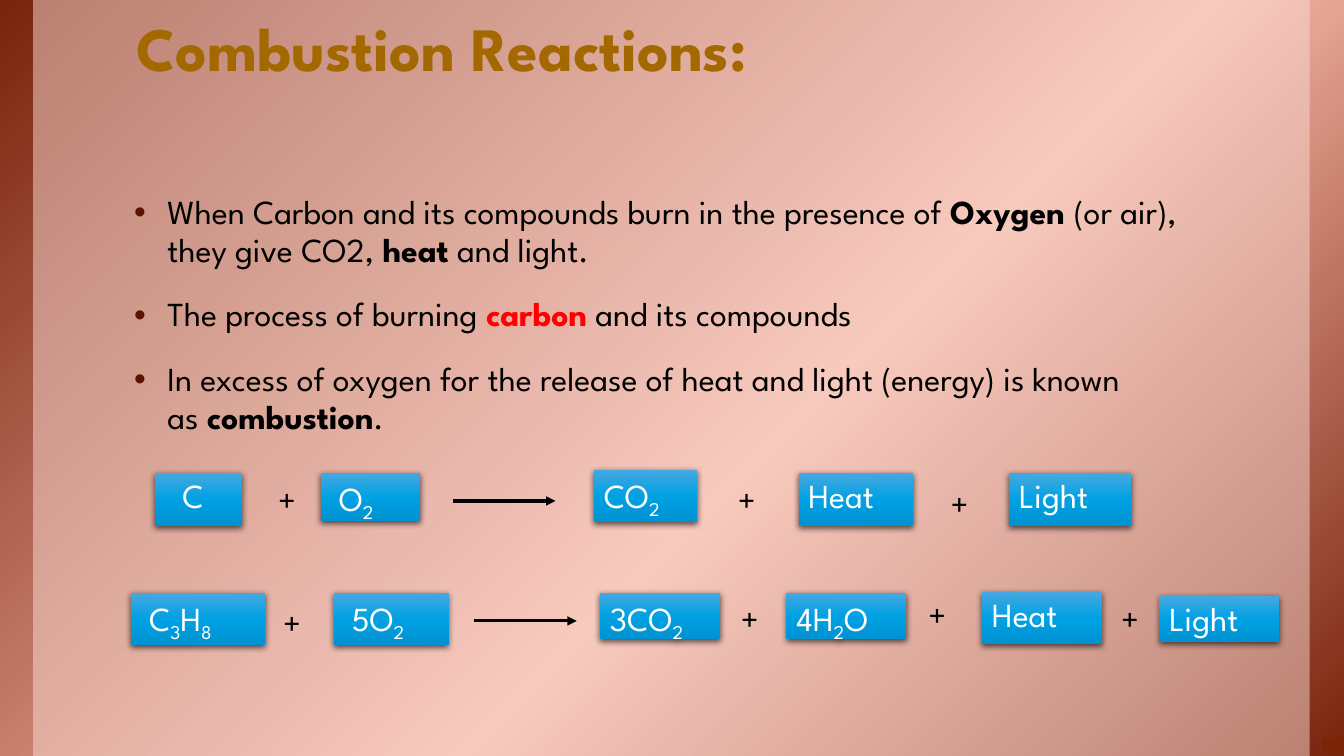
"""Build a slide on combustion reactions with two word equations."""
import pptx
import pptx.util
import pptx.dml.color
import pptx.enum.shapes
import pptx.enum.text
import pptx.oxml
import pptx.oxml.ns

HUES = {"ink": "000000", "white": "FFFFFF", "title": "A36900", "hot": "FF0000",
        "dot": "591300", "panel": "FADBD3", "corner": "7C2404"}
FLAME = [(0, "78230D"), (58, "F6B7A7"), (100, "78230D")]
BLUE = [(0, "47A8E2"), (50, "00A1E3"), (100, "0092D1")]
FONT = "League Spartan"
SIZE = 24
WIDE, HIGH = 13.33, 7.5

TITLE = "Combustion Reactions:"
POINTS = [
    [("When Carbon and its compounds burn in the presence of ", ""), ("Oxygen ", "bold"),
     ("(or air), they give CO2, ", ""), ("heat", "bold"), (" and light.", "")],
    [("The process of burning ", ""), ("carbon", "hot"), (" and its compounds", "")],
    [("In excess of oxygen for the release of heat and light (energy) is known as~", ""),
     ("combustion", "bold"), (".", "")],
]
CHIPS = [
    ("C", 1.54, 4.69, 0.86, 0.53, 0.17), ("O_2", 3.18, 4.69, 0.99, 0.48, 0.08),
    ("CO_2", 5.89, 4.66, 1.02, 0.52, 0), ("Heat", 7.92, 4.69, 1.14, 0.53, 0),
    ("Light", 10.01, 4.69, 1.21, 0.53, 0),
    ("C_3H_8", 1.3, 5.88, 1.33, 0.52, 0.08), ("5O_2", 3.31, 5.88, 1.14, 0.52, 0.08),
    ("3CO_2", 5.95, 5.88, 1.19, 0.46, 0), ("4H_2O", 7.8, 5.88, 1.19, 0.46, 0),
    ("Heat", 9.74, 5.87, 1.19, 0.52, 0), ("Light", 11.5, 5.91, 1.19, 0.46, 0),
]
PLUSES = [(2.66, 4.73), (7.22, 4.73), (9.33, 4.77),
          (2.71, 5.95), (7.25, 5.91), (9.11, 5.87), (11.02, 5.91)]
ARROWS = [(4.49, 4.97), (4.7, 6.16)]
REACH = 1.02

inch = pptx.util.Inches
tag = pptx.oxml.ns.qn


def node(text):
    return pptx.oxml.parse_xml(text.replace(">", f" {pptx.oxml.ns.nsdecls('a')}>", 1))


def tint(hue):
    return pptx.dml.color.RGBColor.from_string(hue)


def blend(fill, host, stops, angle):
    fill.gradient()
    fill.gradient_angle = angle
    marks = "".join(f'<a:gs pos="{at * 1000}"><a:srgbClr val="{hue}"/></a:gs>'
                    for at, hue in stops)
    old = host.find(".//" + tag("a:gsLst"))
    old.getparent().replace(old, node(f"<a:gsLst >{marks}</a:gsLst>"))


def block(slide, left, top, width, height, hue=None):
    kind = pptx.enum.shapes.MSO_SHAPE.RECTANGLE
    shape = slide.shapes.add_shape(kind, *map(inch, (left, top, width, height)))
    shape.shadow.inherit = False
    shape.line.fill.background()
    if hue:
        shape.fill.solid()
        shape.fill.fore_color.rgb = tint(hue)
    return shape


def frame(shape, side, edge, wrap=True):
    body = shape.text_frame
    body.word_wrap = wrap
    body.auto_size = pptx.enum.text.MSO_AUTO_SIZE.NONE
    body.vertical_anchor = pptx.enum.text.MSO_ANCHOR.TOP
    body.margin_left = body.margin_right = inch(side)
    body.margin_top = body.margin_bottom = inch(edge)
    return body


def align(para, gap=0.95):
    para.alignment = pptx.enum.text.PP_ALIGN.LEFT
    para.line_spacing = gap


def write(para, text, hue, size=SIZE, bold=False):
    run = para.add_run()
    run.text = text
    run.font.name = FONT
    run.font.size = pptx.util.Pt(size)
    run.font.bold = bold
    run.font.color.rgb = tint(hue)
    return run


def backdrop(slide):
    base = block(slide, 0, 0, WIDE, HIGH)
    blend(base.fill, base._element.spPr, FLAME, 315)
    panel = block(slide, 0.33, 0, 12.66, HIGH, HUES["panel"])
    panel._element.spPr.find(".//" + tag("a:srgbClr")).append(node('<a:alpha val="50000"></a:alpha>'))
    block(slide, 13.12, 7.32, 0.21, 0.17, HUES["corner"])


def heading(slide):
    title = slide.shapes.title
    title.left, title.top, title.width, title.height = map(inch, (1.22, 0.14, 11.11, 1.47))
    para = frame(title, 0.13, 0.07).paragraphs[0]
    align(para, 0.85)
    write(para, TITLE, HUES["title"], 44, True)
    slide.shapes._spTree.append(title._element)


def points(slide):
    box = slide.shapes.add_textbox(*map(inch, (1.2, 1.85, 11.11, 2.7)))
    body = frame(box, 0.13, 0.07)
    for row, parts in enumerate(POINTS):
        para = body.add_paragraph() if row else body.paragraphs[0]
        align(para)
        para.space_before = pptx.util.Pt(18.7)
        props = para._p.get_or_add_pPr()
        props.set("marL", str(inch(0.33)))
        props.set("indent", str(-inch(0.33)))
        props.append(node(f'<a:buClr><a:srgbClr val="{HUES["dot"]}"/></a:buClr>'))
        props.append(node('<a:buFont typeface="Arial"></a:buFont>'))
        props.append(node('<a:buChar char="•"></a:buChar>'))
        for text, look in parts:
            hue = HUES["hot" if look == "hot" else "ink"]
            write(para, text.replace("~", chr(160)), hue, bold=bool(look))


def chip(slide, text, left, top, width, height, pad):
    shape = block(slide, left, top, width, height)
    blend(shape.fill, shape._element.spPr, BLUE, 270)
    glow = shape._element.spPr.find(tag("a:effectLst"))
    glow.append(node('<a:outerShdw blurRad="57150" dist="19050" dir="5400000" algn="ctr" rotWithShape="0">'
                     f'<a:srgbClr val="{HUES["ink"]}"><a:alpha val="63000"/></a:srgbClr></a:outerShdw>'))
    body = frame(shape, 0.1, 0.05)
    body.margin_left = inch(0.1 + pad)
    para = body.paragraphs[0]
    align(para)
    first, *rest = text.split("_")
    write(para, first, HUES["white"])
    for part in rest:
        low = write(para, part[0], HUES["white"])
        low._r.get_or_add_rPr().set("baseline", "-25000")
        if part[1:]:
            write(para, part[1:], HUES["white"])


def plus(slide, left, top):
    box = slide.shapes.add_textbox(*map(inch, (left, top, 0.41, 0.48)))
    para = frame(box, 0.1, 0.05, False).paragraphs[0]
    align(para)
    write(para, "+", HUES["ink"])


def arrow(slide, left, top):
    kind = pptx.enum.shapes.MSO_CONNECTOR.STRAIGHT
    line = slide.shapes.add_connector(kind, *map(inch, (left, top, left + REACH, top)))
    line.line.width = pptx.util.Pt(2.25)
    line.line.color.rgb = tint(HUES["ink"])
    line.line._get_or_add_ln().append(node('<a:tailEnd type="triangle"></a:tailEnd>'))
    line._element.spPr.append(node("<a:effectLst></a:effectLst>"))


def main():
    deck = pptx.Presentation()
    deck.slide_width, deck.slide_height = inch(WIDE), inch(HIGH)
    slide = deck.slides.add_slide(deck.slide_layouts[5])
    backdrop(slide)
    heading(slide)
    points(slide)
    for item in CHIPS:
        chip(slide, *item)
    for spot in PLUSES:
        plus(slide, *spot)
    for spot in ARROWS:
        arrow(slide, *spot)
    deck.save("out.pptx")


if __name__ == "__main__":
    main()
